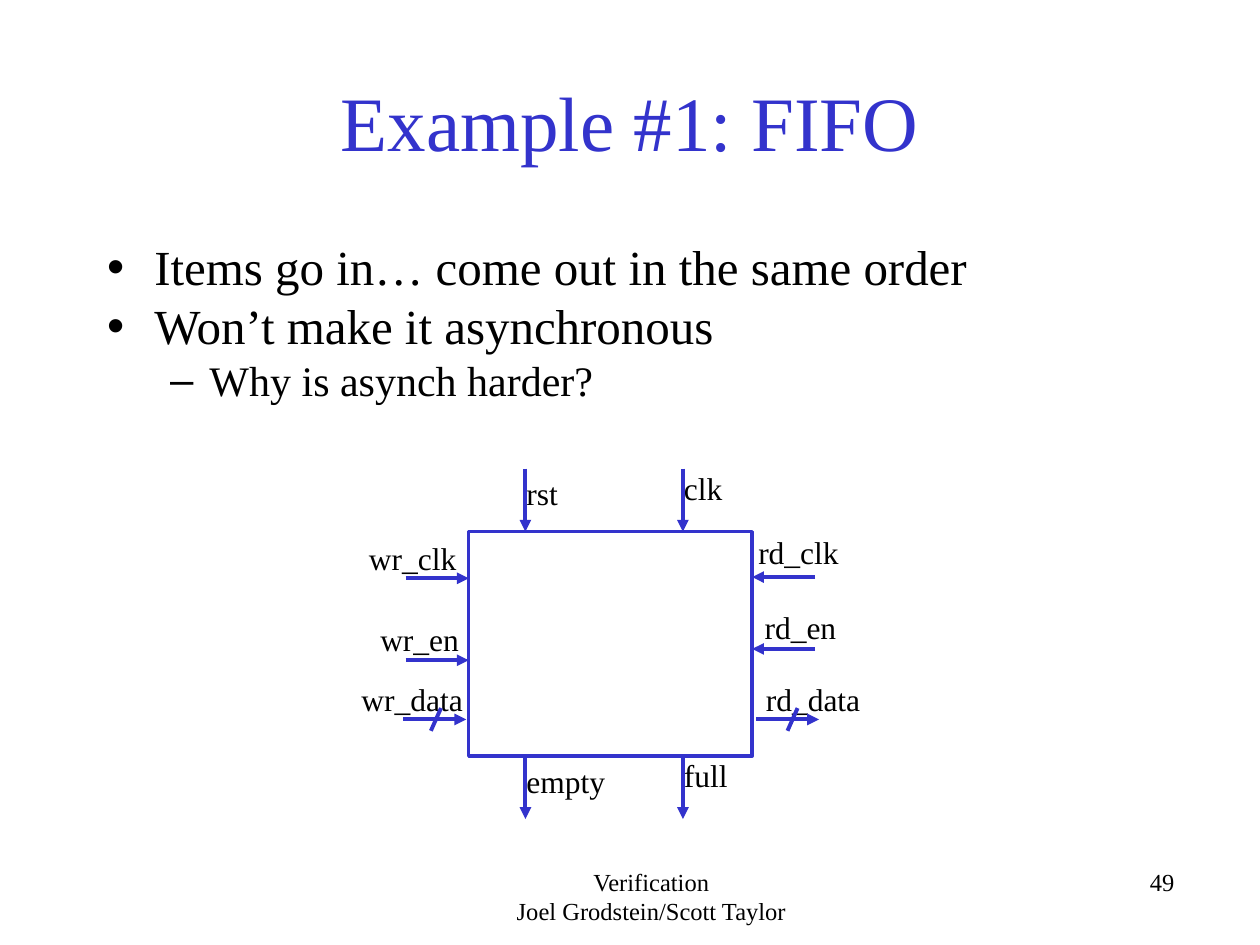
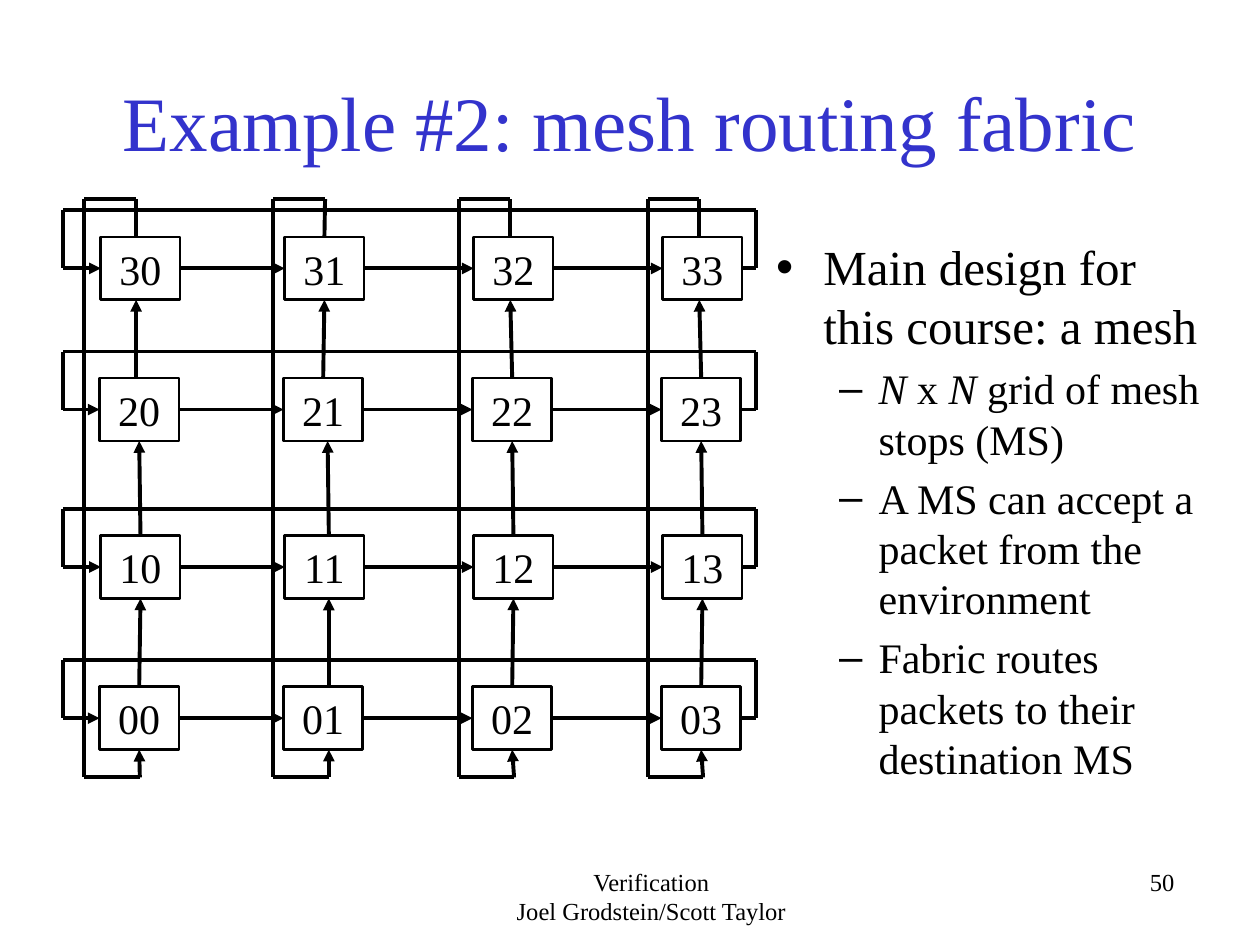
from dataclasses import dataclass
from typing import Any, NamedTuple

import lxml.etree
import pptx
import pptx.dml.color
import pptx.enum.shapes
import pptx.enum.text
import pptx.oxml.ns
import pptx.util

COLORS = {"accent": "3333CC", "ink": "000000", "paper": "FFFFFF"}
FONT = "Times New Roman"
GRID_COLUMNS, GRID_ROWS = 10, 7.5
BODY_SIZES = (28, 24)
WIRE_WIDTH = 2.25
JOIN_TOLERANCE = 0.02
ALIGN = pptx.enum.text.PP_ALIGN
RECTANGLE = pptx.enum.shapes.MSO_SHAPE.RECTANGLE

deck = pptx.Presentation()
deck.slide_width = pptx.util.Inches(10)
deck.slide_height = pptx.util.Inches(7.5)


class Area(NamedTuple):
    left: float
    top: float
    width: float
    height: float

    def side_middles(self) -> list[tuple[float, float]]:
        """Top, left, bottom and right middles, in connection-site order."""
        across, down = self.left + self.width / 2, self.top + self.height / 2
        return [(across, self.top), (self.left, down),
                (across, self.top + self.height), (self.left + self.width, down)]


class Point(NamedTuple):
    x: float
    y: float


class Bullet(NamedTuple):
    level: int
    runs: list[tuple[str, bool]]  # text, italic


@dataclass
class Block:
    """A rectangle on a slide and the grid area it fills."""
    area: Area
    shape: Any


@dataclass
class Pin:
    label: str
    label_area: Area
    start: Point
    end: Point


TITLE_AREA = Area(0.75, 0.33, 8.5, 1.25)
FOOTER_AREA = Area(3.92, 6.83, 2.5, 0.5)
NUMBER_AREA = Area(6.25, 6.83, 3.17, 0.5)


def col(columns: float) -> int:
    return round(deck.slide_width * columns / GRID_COLUMNS)


def row(rows: float) -> int:
    return round(deck.slide_height * rows / GRID_ROWS)


def on_grid(area: Area) -> tuple[int, int, int, int]:
    return col(area.left), row(area.top), col(area.width), row(area.height)


def rgb(color: str) -> pptx.dml.color.RGBColor:
    return pptx.dml.color.RGBColor.from_string(COLORS[color])


def set_formats(target: Any, formats: dict[str, Any]) -> None:
    for name, value in formats.items():
        setattr(target, name, value)


def add_run(paragraph: Any, text: str, size: float, color: str = "ink",
            italic: bool = False) -> None:
    run = paragraph.add_run()
    run.text = text
    set_formats(run.font, {"name": FONT, "size": pptx.util.Pt(size), "italic": italic})
    run.font.color.rgb = rgb(color)


def write_lines(frame: Any, lines: list[str], size: float, align: Any,
                color: str = "ink") -> None:
    frame.word_wrap = True
    for index, line in enumerate(lines):
        paragraph = frame.add_paragraph() if index else frame.paragraphs[0]
        paragraph.alignment = align
        add_run(paragraph, line, size, color)


def add_label(slide: Any, area: Area, lines: list[str], size: float,
              align: Any = ALIGN.LEFT) -> None:
    write_lines(slide.shapes.add_textbox(*on_grid(area)).text_frame, lines, size, align)


def place(placeholder: Any, area: Area) -> Any:
    set_formats(placeholder, dict(zip(("left", "top", "width", "height"), on_grid(area))))
    placeholder.text_frame.auto_size = pptx.enum.text.MSO_AUTO_SIZE.NONE
    return placeholder.text_frame


def add_course_slide(title: str, number: int, body_area: Area, bullets: list[Bullet],
                     spacing: float) -> Any:
    """Spacing is the space before a bullet as a share of its text size."""
    slide = deck.slides.add_slide(deck.slide_layouts[1])
    write_lines(place(slide.shapes.title, TITLE_AREA), [title], 44, ALIGN.CENTER, "accent")
    frame = place(slide.placeholders[1], body_area)
    for index, bullet in enumerate(bullets):
        paragraph = frame.add_paragraph() if index else frame.paragraphs[0]
        size = BODY_SIZES[bullet.level]
        gap = size * spacing if index else 0
        set_formats(paragraph, {"level": bullet.level, "space_before": pptx.util.Pt(gap)})
        for text, italic in bullet.runs:
            add_run(paragraph, text, size, italic=italic)
    add_label(slide, FOOTER_AREA, ["Verification", "Joel Grodstein/Scott Taylor"], 14,
              ALIGN.CENTER)
    add_label(slide, NUMBER_AREA, [str(number)], 14, ALIGN.RIGHT)
    return slide


def add_block(slide: Any, area: Area, line_color: str, line_width: float,
              fill: str | None = None) -> Block:
    shape = slide.shapes.add_shape(RECTANGLE, *on_grid(area))
    shape.shadow.inherit = False
    if fill:
        shape.fill.solid()
        shape.fill.fore_color.rgb = rgb(fill)
    else:
        shape.fill.background()
    shape.line.color.rgb = rgb(line_color)
    shape.line.width = pptx.util.Pt(line_width)
    return Block(area, shape)


def add_wire(slide: Any, start: Point, end: Point, color: str, arrow: bool = False,
             blocks: tuple[Block, ...] = ()) -> None:
    """Draw a line and join each end that meets the middle of a block's side."""
    wire = slide.shapes.add_connector(pptx.enum.shapes.MSO_CONNECTOR.STRAIGHT,
                                      col(start.x), row(start.y), col(end.x), row(end.y))
    wire.line.color.rgb = rgb(color)
    wire.line.width = pptx.util.Pt(WIRE_WIDTH)
    properties = wire.element.spPr
    qn = pptx.oxml.ns.qn
    if arrow:
        lxml.etree.SubElement(properties.find(qn("a:ln")), qn("a:tailEnd"), type="triangle")
    lxml.etree.SubElement(properties, qn("a:effectLst"))
    for point, join in ((start, wire.begin_connect), (end, wire.end_connect)):
        for block in blocks:
            for site, (x, y) in enumerate(block.area.side_middles()):
                if max(abs(point.x - x), abs(point.y - y)) <= JOIN_TOLERANCE:
                    join(block.shape, site)


def build_fifo() -> None:
    slide = add_course_slide("Example #1: FIFO", 49, Area(0.75, 1.83, 8.5, 1.66), [
        Bullet(0, [("Items go in… come out in the same order", False)]),
        Bullet(0, [("Won’t make it asynchronous", False)]),
        Bullet(1, [("Why is asynch harder?", False)]),
    ], spacing=0)
    fifo = Area(3.72, 4.22, 2.25, 1.78)
    right, bottom = fifo.left + fifo.width, fifo.top + fifo.height
    lead, label_height = 0.5, 0.4
    add_block(slide, fifo, "accent", 2)

    def across(outer: float, inner: float, y: float) -> tuple[Point, Point]:
        return Point(outer, y), Point(inner, y)

    def down(x: float, top: float) -> tuple[Point, Point]:
        return Point(x, top), Point(x, top + lead)

    left_outer, right_outer = fifo.left - lead, right + lead
    pins = [
        Pin("rst", Area(4.08, 3.71, 0.5, label_height), *down(4.17, fifo.top - lead)),
        Pin("clk", Area(5.33, 3.67, 0.58, label_height), *down(5.42, fifo.top - lead)),
        Pin("empty", Area(4.08, 6, 0.83, label_height), *down(4.17, bottom)),
        Pin("full", Area(5.33, 5.95, 0.58, label_height), *down(5.42, bottom)),
        Pin("wr_clk", Area(2.83, 4.23, 1.08, label_height),
            *across(left_outer, fifo.left, 4.59)),
        Pin("wr_en", Area(2.92, 4.87, 0.83, label_height),
            *across(left_outer, fifo.left, 5.24)),
        Pin("wr_data", Area(2.77, 5.35, 1.08, label_height), *across(3.2, 3.7, 5.71)),
        Pin("rd_clk", Area(5.92, 4.18, 1, label_height), *across(right_outer, right, 4.58)),
        Pin("rd_en", Area(5.97, 4.78, 0.83, label_height), *across(right_outer, right, 5.15)),
        Pin("rd_data", Area(5.98, 5.35, 1.08, label_height), *across(6, 6.5, 5.71)),
    ]
    for pin in pins:
        add_label(slide, pin.label_area, [pin.label], 18)
        add_wire(slide, pin.start, pin.end, "accent", arrow=True)
    for bus_slash in (3.42, 6.25):
        add_wire(slide, Point(bus_slash + 0.08, 5.62), Point(bus_slash, 5.8), "accent")


def build_mesh() -> None:
    slide = add_course_slide("Example #2: mesh routing fabric", 50,
                             Area(6.06, 1.83, 3.67, 4.67), [
        Bullet(0, [("Main design for this course: a mesh", False)]),
        Bullet(1, [("N", True), (" x ", False), ("N", True),
                   (" grid of mesh stops (MS)", False)]),
        Bullet(1, [("A MS can accept a packet from the environment", False)]),
        Bullet(1, [("Fabric routes packets to their destination MS", False)]),
    ], spacing=0.2)
    stop_lefts = (0.79, 2.25, 3.75, 5.25)
    stop_tops = (5.45, 4.25, 3, 1.88)  # row 0 is at the bottom
    return_lefts = (0.67, 2.17, 3.64, 5.14)
    stop_width, stop_height = 0.63, 0.5
    loop_left, loop_right, loop_rise = 0.5, 6, 0.46
    loop_top, loop_bottom = 1.58, 6.17

    mesh: list[list[Block]] = []
    for y, top in enumerate(stop_tops):
        mesh.append([])
        for x, left in enumerate(stop_lefts):
            area = Area(left + 0.01 * (y % 2), top, stop_width, stop_height)
            stop = add_block(slide, area, "ink", 1.5, "paper")
            write_lines(stop.shape.text_frame, [f"{y}{x}"], 24, ALIGN.CENTER)
            mesh[y].append(stop)
    stops = tuple(stop for mesh_row in mesh for stop in mesh_row)

    def route(*points: Point, arrow: bool = True) -> None:
        """Wire the points in turn, with an arrowhead at the last."""
        for index, (start, end) in enumerate(zip(points, points[1:]), 2):
            add_wire(slide, start, end, "ink", arrow and index == len(points), stops)

    for mesh_row in mesh:
        for stop, following in zip(mesh_row, mesh_row[1:]):
            route(Point(*stop.area.side_middles()[3]),
                  Point(*following.area.side_middles()[1]))
        exit_point = Point(*mesh_row[-1].area.side_middles()[3])
        entry = Point(*mesh_row[0].area.side_middles()[1])
        route(exit_point, Point(loop_right, entry.y),
              Point(loop_right, entry.y - loop_rise), Point(loop_left, entry.y - loop_rise),
              Point(loop_left, entry.y), entry)

    for return_left in return_lefts:
        upper, lower = return_left + 0.41, return_left + 0.44
        for y, (start_x, end_x) in enumerate(((lower, lower), (lower, lower - 0.01),
                                              (upper, upper))):
            route(Point(start_x, stop_tops[y]),
                  Point(end_x, stop_tops[y + 1] + stop_height))
        route(Point(upper, stop_tops[-1]), Point(upper, loop_top),
              Point(return_left, loop_top), Point(return_left, loop_bottom),
              Point(lower, loop_bottom), Point(lower, stop_tops[0] + stop_height))


def main() -> None:
    build_fifo()
    build_mesh()
    deck.save("out.pptx")


if __name__ == "__main__":
    main()
